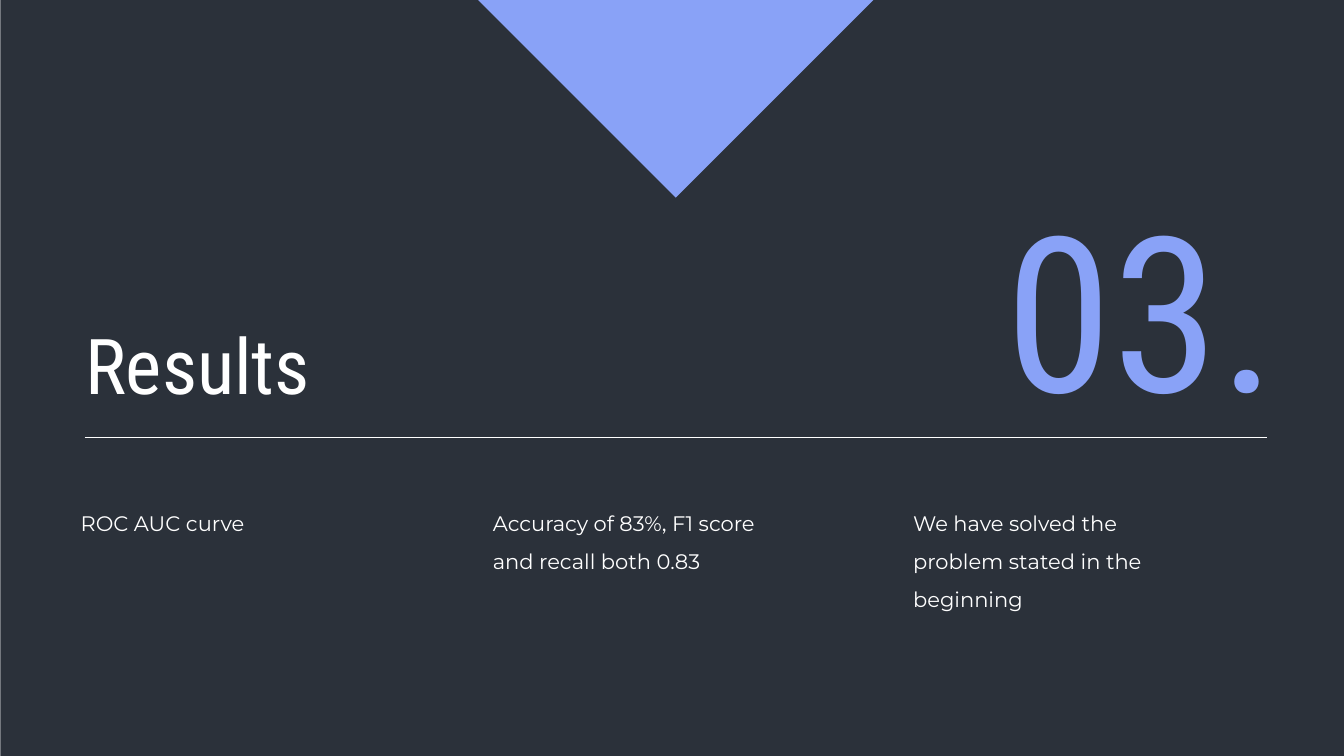
"""Build the dark section slide that sums up the results in three columns."""
import pptx
import pptx.dml.color
import pptx.enum.shapes
import pptx.enum.text
import pptx.oxml
import pptx.util
import lxml.etree

PX = 9144
THEME = {
    "dark": "2B313A", "white": "FFFFFF", "blue": "89A2F7",
    "head": "Roboto Condensed", "body": "Montserrat", "mark": "Lato",
    "title": 110, "number": 310, "text": 30, "rule": 0.75,
}
ALIGN = pptx.enum.text.PP_ALIGN


def tint(name):
    return pptx.dml.color.RGBColor.from_string(THEME[name])


def write(shape, text, font="body", size="text", color="white", align=ALIGN.LEFT, space=1.0):
    frame = shape.text_frame
    frame.word_wrap = True
    frame.auto_size = pptx.enum.text.MSO_AUTO_SIZE.NONE
    frame.vertical_anchor = pptx.enum.text.MSO_ANCHOR.TOP
    frame.margin_left = frame.margin_right = frame.margin_top = frame.margin_bottom = 5 * PX
    para = frame.paragraphs[0]
    para.alignment = align
    para.line_spacing = space
    parts = [(text, font)] if isinstance(text, str) else text
    for words, face in parts:
        run = para.add_run()
        run.text = words
        run.font.name = THEME[face]
        run.font.size = pptx.util.Pt(THEME[size])
        run.font.color.rgb = tint(color)


deck = pptx.Presentation()
deck.slide_width, deck.slide_height = 2667 * PX, 1500 * PX
slide = deck.slides.add_slide(deck.slide_layouts.get_by_name("Title Only"))
shapes = slide.shapes

title = shapes.title
title.left, title.top, title.width, title.height = 164 * PX, 624 * PX, 1032 * PX, 195 * PX
write(title, "Results", font="head", size="title")

panel = shapes.add_shape(pptx.enum.shapes.MSO_SHAPE.RECTANGLE, 1 * PX, 0, 2666 * PX, 1500 * PX)
shapes.element.insert(2, panel.element)

rule = shapes.add_connector(pptx.enum.shapes.MSO_CONNECTOR.STRAIGHT, 168 * PX, 867 * PX, 2514 * PX, 867 * PX)
rule.line.color.rgb = tint("white")
rule.line.width = pptx.util.Pt(THEME["rule"])
lxml.etree.SubElement(rule.element.spPr, pptx.oxml.ns.qn("a:effectLst"))

number = shapes.add_textbox(1841 * PX, 343 * PX, 698 * PX, 527 * PX)
write(number, "03.", font="head", size="number", color="blue", align=ALIGN.RIGHT)

path = shapes.build_freeform(949, 0, scale=PX)
path.add_line_segments([(1733, 0), (1341, 392)], close=True)
wedge = path.convert_to_shape()

for shape, color in ((panel, "dark"), (wedge, "blue")):
    shape.shadow.inherit = False
    shape.fill.solid()
    shape.fill.fore_color.rgb = tint(color)
    shape.line.fill.background()

columns = [
    (155, 713, 159, "ROC AUC curve"),
    (973, 595, 268, [("Accuracy of 83%", "body"), (", ", "mark"),
                     ("F1 score and recall both 0.83", "body")]),
    (1807, 595, 268, "We have solved the problem stated in the beginning"),
]
for left, width, height, text in columns:
    box = shapes.add_textbox(left * PX, 983 * PX, width * PX, height * PX)
    write(box, text, space=1.5)

deck.save("out.pptx")
